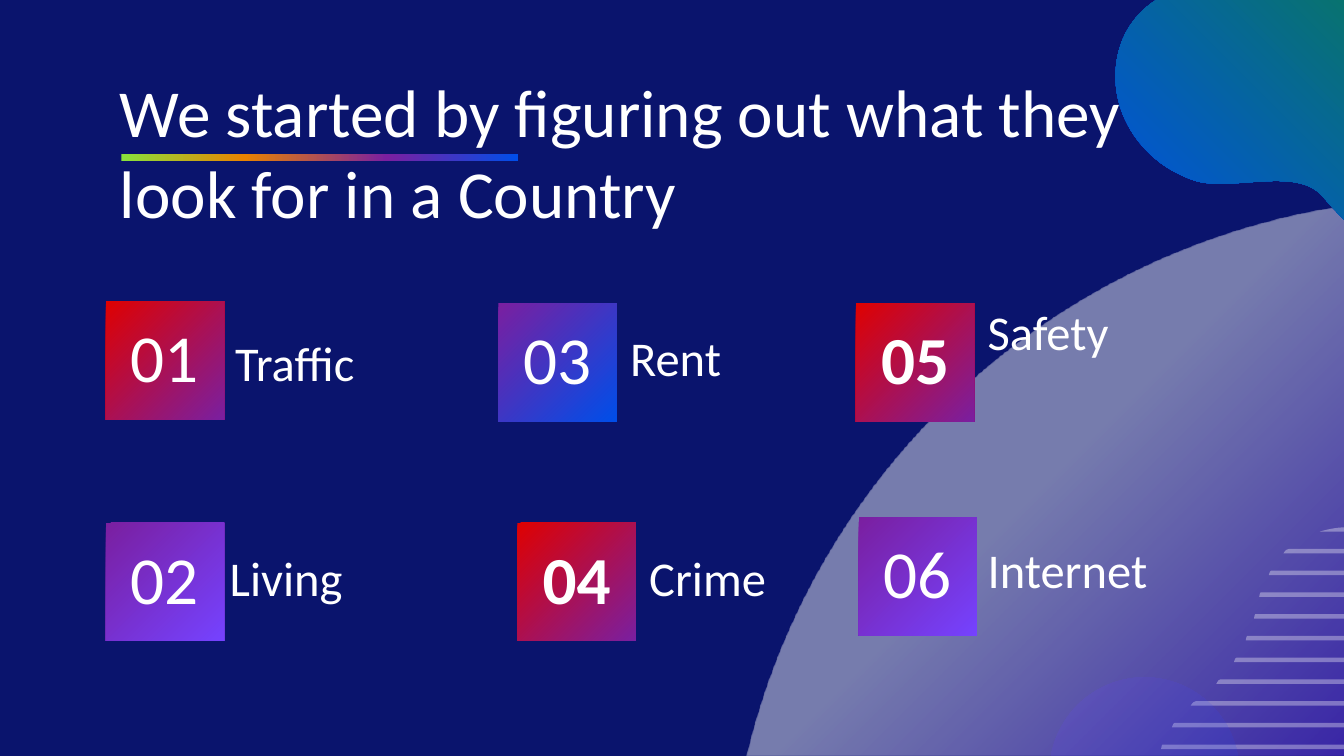
import pptx
import pptx.dml.color
import pptx.enum.shapes
import pptx.enum.text
import pptx.oxml.ns
import pptx.util
from lxml import etree

Pt = pptx.util.Pt
qn = pptx.oxml.ns.qn
SHAPE = pptx.enum.shapes.MSO_SHAPE
ALIGN = pptx.enum.text.PP_ALIGN
ANCHOR = pptx.enum.text.MSO_ANCHOR

HUES = {
    "navy": "0A146D", "white": "FFFFFF", "red": "DF0101", "plum": "7A1FA0",
    "blue": "004EE9", "violet": "7542FF", "iris": "733AEF",
    "green": "0D8630", "lime": "89E23C", "orange": "E98300",
}
WARM = [(0, "red"), (100, "plum")]
COOL = [(0, "plum"), (100, "blue")]
SOFT = [(0, "plum"), (100, "violet")]

SIDE = 63.4  # edge of a number tile

# number, tile left and top, label, label left and top, fill, bold
CARDS = [
    ("01", 56.7, 161.4, "Traffic", 118.9, 175, WARM, False),
    ("02", 56.7, 280, "Living", 116, 290.2, SOFT, False),
    ("03", 267, 162.5, "Rent", 330.5, 172.2, COOL, False),
    ("04", 277.2, 280, "Crime", 340.7, 290.2, WARM, True),
    ("05", 458.5, 162.5, "Safety", 522, 158.4, WARM, True),
    ("06", 460, 277, "Internet", 522, 285.7, SOFT, False),
]

# Left and right ends of each stripe: along its top, then along its bottom
STRIPES = [
    (723, 725, 707, 738), (690.5, 752, 687.6, 754), (681, 760, 679.7, 760),
    (675.4, 763, 674.6, 764), (672.5, 765, 671.8, 764),
    (668.2, 765, 667.4, 766), (662.4, 773, 661, 776), (653.8, 790, 651.6, 793),
    (640.8, 803, 637.9, 804), (629.3, 807, 627.8, 808), (622.8, 807, 622, 806),
]

# Bezier curves of the corner blob: two handles and an end point each
BLOB = [
    [(597.6, 41)],
    [(597.6, 55.4), (603.4, 69.8), (614.9, 81.4)],
    [(622.8, 89.3), (632.2, 94.3), (641.5, 97.2)],
    [(661.7, 102.2), (694.8, 89.3), (708.5, 105.1)],
    [(730.8, 131), (744.5, 139), (758.2, 125.3)],
    [(764.6, 118.8), (769, 110.2), (769, 100.1)],
    [(769, 89.3), (764.6, 76.3), (755.3, 61.9)],
    [(749.5, 52.6), (747.4, 42.5), (747.4, 31.7)],
    [(747.4, 28.1), (748.1, 23.8), (748.8, 20.2)],
    [(749.5, 14.4), (749.5, 5.8), (749.5, -3.6)],
    [(749.5, -20.2), (748.1, -38.9), (743.8, -49.7)],
    [(735.1, -70.6), (697.7, -88.6), (650.2, -22.3)],
    [(644.4, -14.4), (636.5, -7.9), (627.1, -4.3)],
    [(621.4, -1.4), (616.3, 1.4), (611.3, 6.5)],
    [(601.9, 15.8), (597.6, 28.1), (597.6, 41)],
]


def rgb(name):
    return pptx.dml.color.RGBColor.from_string(HUES[name])


def fade(hue, alpha):
    if alpha < 100:
        etree.SubElement(hue, qn("a:alpha"), val=str(alpha * 1000))


def paint(shape, stops, angle=45, alpha=100):
    """Fill with one colour, or with stops at a clockwise angle."""
    shape.shadow.inherit = False
    shape.line.fill.background()
    props = shape.element.spPr
    if isinstance(stops, str):
        shape.fill.solid()
        shape.fill.fore_color.rgb = rgb(stops)
        fade(props.find(qn("a:solidFill"))[0], alpha)
        return
    shape.fill.gradient()
    shape.fill.gradient_angle = (360 - angle) % 360
    ramp = props.find(qn("a:gradFill")).find(qn("a:gsLst"))
    for old in list(ramp):
        ramp.remove(old)
    for pos, name in stops:
        stop = etree.SubElement(ramp, qn("a:gs"), pos=str(pos * 1000))
        fade(etree.SubElement(stop, qn("a:srgbClr"), val=HUES[name]), alpha)


def write(shape, words, size=36, bold=False, align=ALIGN.LEFT,
          anchor=ANCHOR.TOP, space=1.0, top=7.2):
    frame = shape.text_frame
    frame.word_wrap = True
    frame.auto_size = pptx.enum.text.MSO_AUTO_SIZE.NONE
    frame.vertical_anchor = anchor
    frame.margin_left = frame.margin_right = frame.margin_bottom = Pt(7.2)
    frame.margin_top = Pt(top)
    para = frame.paragraphs[0]
    para.alignment = align
    para.line_spacing = space
    run = para.add_run()
    run.text = words
    run.font.name = "Calibri"
    run.font.size = Pt(size)
    run.font.bold = bold
    run.font.color.rgb = rgb("white")


def block(slide, kind, left, top, width, height, stops, **look):
    shape = slide.shapes.add_shape(
        kind, Pt(left), Pt(top), Pt(width), Pt(height))
    paint(shape, stops, **look)
    return shape


def outline(slide, box, parts, stops, **look):
    """Closed outline in a box; parts of one point are lines, of three curves."""
    left, top, width, height = box
    pen = slide.shapes.build_freeform(0, 0, scale=Pt(1))
    pen.add_line_segments([(9, 0), (9, 9)])
    shape = pen.convert_to_shape()
    shape.left, shape.top = Pt(left), Pt(top)
    shape.width, shape.height = Pt(width), Pt(height)
    track = shape.element.spPr.find(qn("a:custGeom")).find(qn("a:pathLst"))[0]
    for old in list(track):
        track.remove(old)
    track.set("w", str(round(width * 100)))
    track.set("h", str(round(height * 100)))
    for i, part in enumerate(parts):
        tag = "a:moveTo" if i == 0 else "a:lnTo"
        step = etree.SubElement(
            track, qn("a:cubicBezTo" if len(part) == 3 else tag))
        for x, y in part:
            etree.SubElement(step, qn("a:pt"), x=str(round((x - left) * 100)),
                             y=str(round((y - top) * 100)))
    etree.SubElement(track, qn("a:close"))
    paint(shape, stops, **look)
    return shape


def stripe(slide, top, left, right, low, far):
    tall = 2.4
    base = top + tall

    def bend(a, b):
        """Handles of a stripe end, from its top point to its bottom point."""
        return [(a + (b - a) / 3, top),
                (a + (b - a) * 2 / 3, top + tall / 3)]

    parts = [[(left, top)], bend(left, low) + [(low, base)], [(far, base)],
             bend(right, far)[::-1] + [(right, top)]]
    wide = max(right, far) - low
    outline(slide, (low, top, wide, tall), parts, "white", alpha=34)


def decor(slide):
    # Large pale arc
    outline(slide, (400.2, 110.2, 319.8, 294.8),
            [[(720, 110.2)], [(562.3, 134), (436.3, 252), (400.2, 405)],
             [(720, 405)], [(720, 110.2)]],
            [(0, "white"), (50, "white"), (100, "iris")], alpha=44)
    # Stripes
    for row, ends in enumerate(STRIPES):
        stripe(slide, 282.4 + 11.65 * row, *ends)
    # Corner blob, laid flat in its box and then turned
    left, top, width, height = box = (568.8, -60.5, 228.2, 171.4)
    mid, rise = left + width / 2, top + height / 2
    flat = [[(mid + rise - y, rise - mid + x) for x, y in part]
            for part in BLOB]
    blob = outline(slide, box, flat, [(0, "blue"), (100, "green")])
    blob.rotation = 270
    # Faint disc
    block(slide, SHAPE.OVAL, 562.3, 362.9, 101.5, 101.5,
          [(0, "violet"), (100, "blue")], alpha=15)


def head(slide):
    title = slide.shapes.title
    title.left, title.top = Pt(57), Pt(30.7)
    title.width, title.height = Pt(607), Pt(46.8)
    write(title, "We started by figuring out what they look for in a Country")
    # Bring the title in front of the decoration
    title.element.getparent().append(title.element)
    block(slide, SHAPE.RECTANGLE, 65, 82.6, 212.4, 3.6,
          [(0, "lime"), (31, "orange"), (67, "plum"), (100, "blue")], angle=0)


def card(slide, num, left, top, label, x, y, stops, bold):
    tile = block(slide, SHAPE.RECTANGLE, left, top, SIDE, SIDE, stops)
    write(tile, num, bold=bold, align=ALIGN.CENTER,
          anchor=ANCHOR.MIDDLE, top=2.2)
    box = slide.shapes.add_textbox(Pt(x), Pt(y), Pt(208), Pt(41.8))
    write(box, label, size=26, anchor=ANCHOR.BOTTOM, space=1.15)


def main():
    deck = pptx.Presentation()
    deck.slide_width, deck.slide_height = Pt(720), Pt(405)
    slide = deck.slides.add_slide(deck.slide_layouts[5])
    slide.background.fill.solid()
    slide.background.fill.fore_color.rgb = rgb("navy")
    decor(slide)
    head(slide)
    for item in CARDS:
        card(slide, *item)
    deck.save("out.pptx")


if __name__ == "__main__":
    main()
